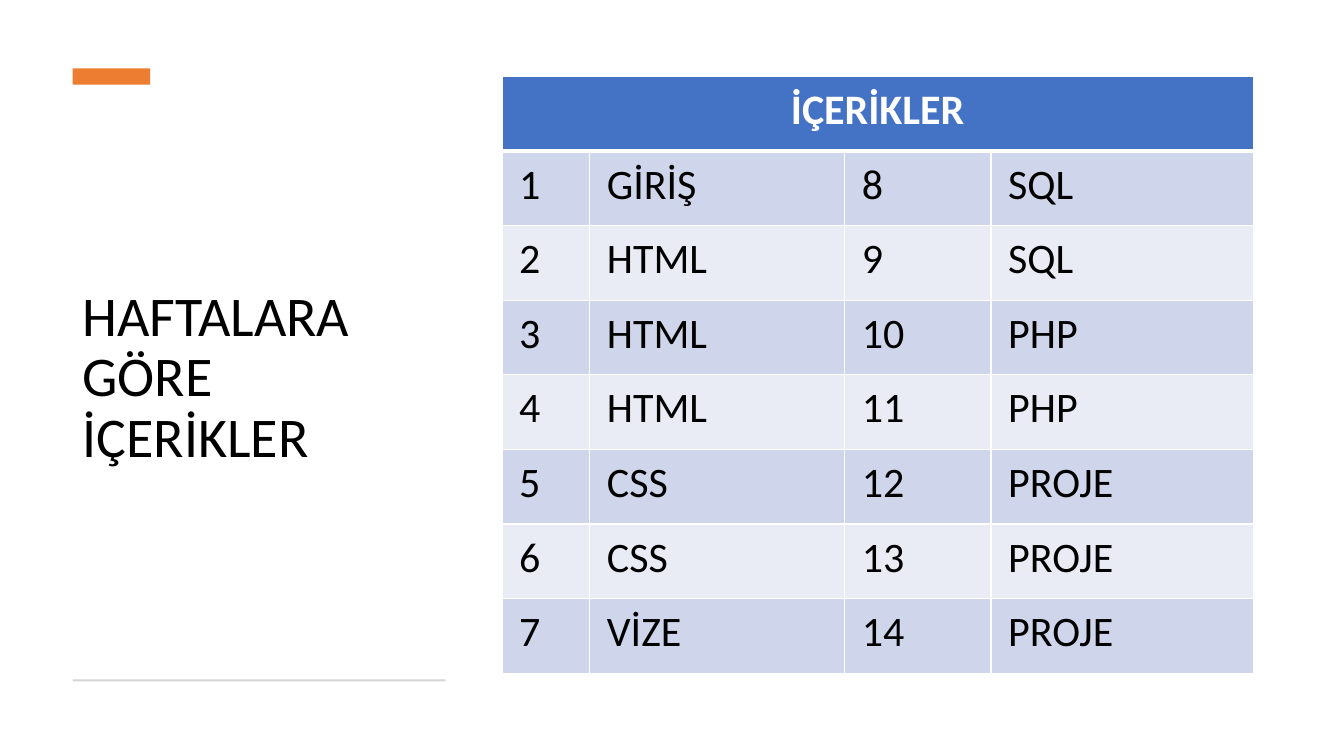
from lxml import etree
from pptx import Presentation
from pptx.dml.color import RGBColor
from pptx.enum.shapes import MSO_SHAPE
from pptx.enum.text import MSO_ANCHOR, PP_ALIGN
from pptx.oxml.ns import qn
from pptx.util import Pt

RECT = MSO_SHAPE.RECTANGLE
MIDDLE = MSO_ANCHOR.MIDDLE
LEFT, CENTER = PP_ALIGN.LEFT, PP_ALIGN.CENTER

SCALE = 9144  # EMU per px, 100 px to the inch
FONT = "Calibri"
COLORS = {
    "black": "000000",
    "white": "FFFFFF",
    "accent": "ED7D31",
    "rule": "D5D5D5",
    "head": "4472C4",
    "dark": "CFD5EA",
    "light": "E9EBF5",
}
TOPICS = [
    "GİRİŞ", "HTML", "HTML", "HTML", "CSS", "CSS", "VİZE",
    "SQL", "SQL", "PHP", "PHP", "PROJE", "PROJE", "PROJE",
]
COLS = [87, 253, 145, 260]
ROW = 74


def px(*sizes):
    return [size * SCALE for size in sizes]


def color(name):
    return RGBColor.from_string(COLORS[name])


class Deck:
    def __init__(self, width, height):
        self.prs = Presentation()
        self.prs.slide_width, self.prs.slide_height = px(width, height)
        self.slide = self.prs.slides.add_slide(self.prs.slide_layouts[6])

    def text(self, para, words, size, tint="black", bold=False, align=LEFT):
        para.alignment = align
        run = para.add_run()
        run.text = words
        font = run.font
        font.name, font.size, font.bold = FONT, Pt(size), bold
        font.color.rgb = color(tint)

    def title(self, words, box, size):
        frame = self.slide.shapes.add_textbox(*px(*box)).text_frame
        frame.word_wrap = True
        frame.vertical_anchor = MIDDLE
        para = frame.paragraphs[0]
        para.line_spacing = 0.9
        self.text(para, words, size)

    def bar(self, box, tint):
        shape = self.slide.shapes.add_shape(RECT, *px(*box))
        shape.shadow.inherit = False
        shape.fill.solid()
        shape.fill.fore_color.rgb = color(tint)
        shape.line.fill.background()

    def grid(self, left, top, cols, count):
        """Add an empty table with the given column widths and row count."""
        box = px(left, top, sum(cols), ROW * count)
        table = self.slide.shapes.add_table(count, len(cols), *box).table
        for col, width in zip(table.columns, cols):
            col.width = width * SCALE
        for row in table.rows:
            row.height = ROW * SCALE
        return table

    def cell(self, cell, fill, top=1, base=1):
        """Set fill, margins and white borders; top and base are in points."""
        cell.margin_left = cell.margin_right = 17 * SCALE
        cell.margin_top = cell.margin_bottom = 8 * SCALE
        cell.fill.solid()
        cell.fill.fore_color.rgb = color(fill)
        props = cell._tc.get_or_add_tcPr()
        edges = {"L": 1, "R": 1, "T": top, "B": base}
        for spot, (side, width) in enumerate(edges.items()):
            line = etree.Element(qn(f"a:ln{side}"), w=str(Pt(width)))
            solid = etree.SubElement(line, qn("a:solidFill"))
            etree.SubElement(solid, qn("a:srgbClr"), val=COLORS["white"])
            props.insert(spot, line)

    def weeks(self, left, top, head, topics, size):
        """Add the table of numbered topics, split into two halves."""
        half = len(topics) // 2
        table = self.grid(left, top, COLS, half + 1)
        for col in range(len(COLS)):
            self.cell(table.cell(0, col), "head", base=3)
        first = table.cell(0, 0)
        first.merge(table.cell(0, len(COLS) - 1))
        self.text(first.text_frame.paragraphs[0], head, size,
                  "white", True, CENTER)
        for index, topic in enumerate(topics):
            side, row = divmod(index, half)
            for shift, words in enumerate((str(index + 1), topic)):
                cell = table.cell(row + 1, side * 2 + shift)
                self.cell(cell, "light" if row % 2 else "dark",
                          top=1 if row else 3)
                self.text(cell.text_frame.paragraphs[0], words, size)


def main():
    deck = Deck(1333, 750)
    deck.title("HAFTALARA GÖRE İÇERİKLER", (72, 105, 370, 541), 40)
    deck.bar((72, 68, 77, 16), "accent")
    deck.bar((72, 674, 370, 2), "rule")
    deck.weeks(498, 76, "İÇERİKLER", TOPICS, 30)
    deck.prs.save("out.pptx")


if __name__ == "__main__":
    main()
